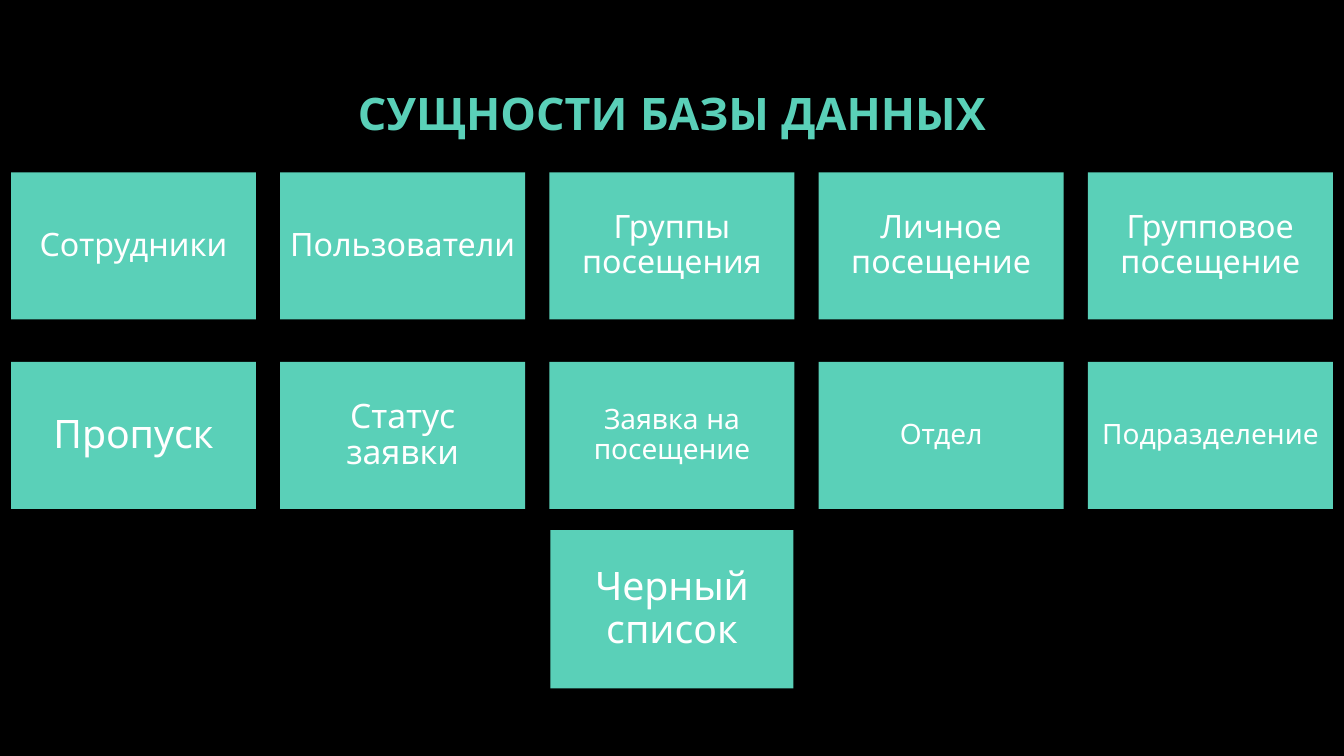
from dataclasses import dataclass

from pptx import Presentation
from pptx import util as u
from pptx.dml.color import RGBColor
from pptx.enum import shapes, text

BLACK = RGBColor(0x00, 0x00, 0x00)
MINT = RGBColor(0x5A, 0xD0, 0xB8)
WHITE = RGBColor(0xFF, 0xFF, 0xFF)
FONT = "Quicksand"
INSET_PER_POINT = 1 / 240  # card margin in inches, grows with the text size


@dataclass(frozen=True)
class Entity:
    name: str
    size: int


@dataclass(frozen=True)
class EntityRow:
    left: float
    top: float
    width: float
    height: float
    entities: tuple[Entity, ...]
    pitch: float = 2.67


ROWS = (
    EntityRow(0.11, 1.71, 2.43, 1.46, (
        Entity("Сотрудники", 23),
        Entity("Пользователи", 23),
        Entity("Группы посещения", 23),
        Entity("Личное посещение", 23),
        Entity("Групповое посещение", 23),
    )),
    EntityRow(0.11, 3.59, 2.43, 1.46, (
        Entity("Пропуск", 28),
        Entity("Статус заявки", 24),
        Entity("Заявка на посещение", 20),
        Entity("Отдел", 20),
        Entity("Подразделение", 20),
    )),
    EntityRow(5.46, 5.26, 2.41, 1.57, (Entity("Черный список", 28),)),
)


def write_centred(frame, words: str, size: int, color: RGBColor, bold: bool = False):
    """Fill a text frame with one centred run and return its paragraph."""
    frame.word_wrap = True
    frame.vertical_anchor = text.MSO_ANCHOR.MIDDLE
    line = frame.paragraphs[0]
    line.alignment = text.PP_ALIGN.CENTER
    run = line.add_run()
    run.text = words
    run.font.name = FONT
    run.font.size = u.Pt(size)
    run.font.bold = bold
    run.font.color.rgb = color
    return line


def draw_title(slide) -> None:
    title = slide.shapes.add_textbox(
        u.Inches(1.25), u.Inches(0.67), u.Inches(10.83), u.Inches(0.9))
    write_centred(title.text_frame, "СУЩНОСТИ БАЗЫ ДАННЫХ", 32, MINT, bold=True)


def draw_row(slide, row: EntityRow) -> None:
    for column, entity in enumerate(row.entities):
        card = slide.shapes.add_shape(
            shapes.MSO_SHAPE.RECTANGLE,
            u.Inches(row.left + column * row.pitch), u.Inches(row.top),
            u.Inches(row.width), u.Inches(row.height))
        card.shadow.inherit = False
        card.fill.solid()
        card.fill.fore_color.rgb = MINT
        card.line.fill.background()

        label = card.text_frame
        inset = u.Inches(entity.size * INSET_PER_POINT)
        label.margin_left = label.margin_right = inset
        label.margin_top = label.margin_bottom = inset
        write_centred(label, entity.name, entity.size, WHITE).line_spacing = 0.9


def main() -> None:
    deck = Presentation()
    deck.slide_width = u.Inches(13.33)
    deck.slide_height = u.Inches(7.5)
    slide = deck.slides.add_slide(deck.slide_layouts[6])

    # Background
    slide.background.fill.solid()
    slide.background.fill.fore_color.rgb = BLACK

    # Title and entity cards
    draw_title(slide)
    for row in ROWS:
        draw_row(slide, row)

    deck.save("out.pptx")


if __name__ == "__main__":
    main()
